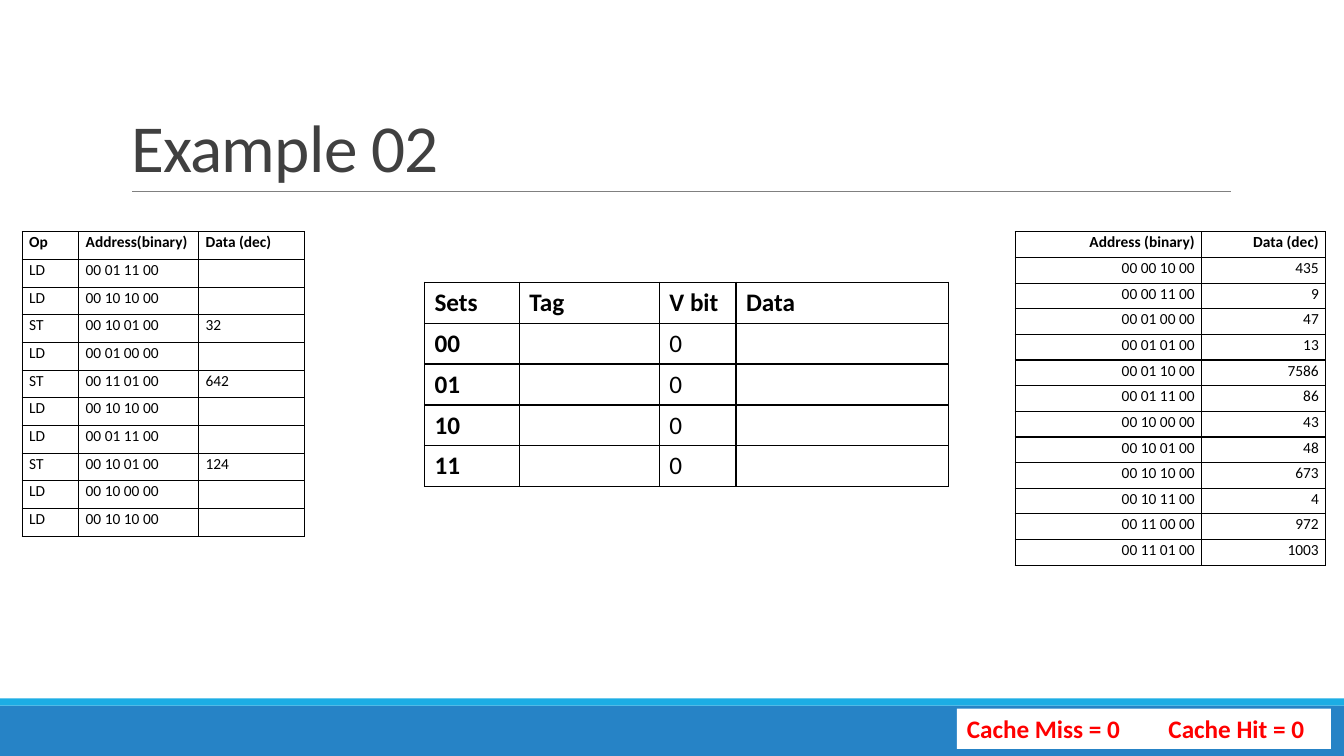
from dataclasses import dataclass

from lxml.etree import SubElement
from pptx import Presentation
from pptx.dml.color import RGBColor
from pptx.enum.shapes import MSO_CONNECTOR as Connector, MSO_SHAPE as Shape
from pptx.enum.text import MSO_ANCHOR as Anchor, MSO_AUTO_SIZE as AutoSize, PP_ALIGN as Align
from pptx.oxml.ns import qn
from pptx.util import Inches, Pt

FONT = "Calibri"
COLORS = {
    "band": "2683C6",
    "stripe": "1CADE4",
    "rule": "808080",
    "title": "404040",
    "text": "000000",
    "score": "FF0000",
    "paper": "FFFFFF",
}


@dataclass
class Box:
    left: float
    top: float
    width: float
    height: float
    color: str


@dataclass
class Grid:
    left: float
    top: float
    height: float
    columns: tuple[float, ...]
    rows: list[tuple[str, ...]]
    size: int = 11
    align: Align = Align.LEFT
    margins: tuple[float, float] = (0.07, 0)
    line_spacing: float = 1.07
    bold_first_column: bool = False


BANDS = [Box(0, 7, 13.33, 0.5, "band"), Box(0, 6.93, 13.33, 0.07, "stripe")]
SCORE = Box(9.49, 7.03, 3.71, 0.4, "paper")

OPERATIONS = Grid(0.22, 2.3, 3.02, (0.56, 1.19, 1.05), [
    ("Op", "Address(binary)", "Data (dec)"),
    ("LD", "00 01 11 00", ""),
    ("LD", "00 10 10 00", ""),
    ("ST", "00 10 01 00", "32"),
    ("LD", "00 01 00 00", ""),
    ("ST", "00 11 01 00", "642"),
    ("LD", "00 10 10 00", ""),
    ("LD", "00 01 11 00", ""),
    ("ST", "00 10 01 00", "124"),
    ("LD", "00 10 00 00", ""),
    ("LD", "00 10 10 00", ""),
])
MEMORY = Grid(10.07, 2.3, 3.31, (1.85, 1.23), [
    ("Address (binary)", "Data (dec)"),
    ("00 00 10 00", "435"),
    ("00 00 11 00", "9"),
    ("00 01 00 00", "47"),
    ("00 01 01 00", "13"),
    ("00 01 10 00", "7586"),
    ("00 01 11 00", "86"),
    ("00 10 00 00", "43"),
    ("00 10 01 00", "48"),
    ("00 10 10 00", "673"),
    ("00 10 11 00", "4"),
    ("00 11 00 00", "972"),
    ("00 11 01 00", "1003"),
], align=Align.RIGHT)
CACHE = Grid(
    4.21, 2.8, 2.03, (0.94, 1.39, 0.76, 2.11),
    [("Sets", "Tag", "V bit", "Data")]
    + [(index, "", "0", "") for index in ("00", "01", "10", "11")],
    size=18, margins=(0.1, 0.05), line_spacing=1, bold_first_column=True,
)


def rgb(name: str) -> RGBColor:
    return RGBColor.from_string(COLORS[name])


def add_run(paragraph, text: str, size: int, color: str, bold: bool = False):
    run = paragraph.add_run()
    run.text = text
    run.font.name = FONT
    run.font.size = Pt(size)
    run.font.bold = bold
    run.font.color.rgb = rgb(color)
    return run


def add_box(slide, box: Box):
    shape = slide.shapes.add_shape(
        Shape.RECTANGLE, *map(Inches, (box.left, box.top, box.width, box.height)))
    shape.shadow.inherit = False
    shape.fill.solid()
    shape.fill.fore_color.rgb = rgb(box.color)
    shape.line.fill.background()
    return shape


def add_rule(slide) -> None:
    rule = slide.shapes.add_connector(
        Connector.STRAIGHT, Inches(1.31), Inches(1.9), Inches(12.21), Inches(1.9))
    rule.line.color.rgb = rgb("rule")
    rule.line.width = Pt(0.5)
    SubElement(rule._element.spPr, qn("a:effectLst"))


def add_title(slide) -> None:
    title = slide.shapes.title
    title.left, title.top, title.width, title.height = map(Inches, (1.2, 0.31, 11, 1.59))
    frame = title.text_frame
    frame.auto_size = AutoSize.NONE
    frame.vertical_anchor = Anchor.BOTTOM
    paragraph = frame.paragraphs[0]
    paragraph.alignment = Align.LEFT
    paragraph.line_spacing = 0.85
    run = add_run(paragraph, "Example 02", 48, "title")
    run.font._element.set("spc", "-50")


def add_score(slide) -> None:
    frame = add_box(slide, SCORE).text_frame
    frame.word_wrap = True
    frame.vertical_anchor = Anchor.TOP
    paragraph = frame.paragraphs[0]
    paragraph.alignment = Align.LEFT
    add_run(paragraph, "Cache Miss = 0\tCache Hit = 0", 18, "score", True)


def add_borders(cell) -> None:
    properties = cell._tc.get_or_add_tcPr()
    for side in ("lnL", "lnR", "lnT", "lnB"):
        border = SubElement(properties, qn(f"a:{side}"), w=str(Pt(1)))
        fill = SubElement(border, qn("a:solidFill"))
        SubElement(fill, qn("a:srgbClr"), val=COLORS["text"])


def fill_cell(cell, grid: Grid, text: str, bold: bool) -> None:
    add_borders(cell)
    cell.fill.background()
    cell.margin_left = cell.margin_right = Inches(grid.margins[0])
    cell.margin_top = cell.margin_bottom = Inches(grid.margins[1])
    paragraph = cell.text_frame.paragraphs[0]
    paragraph.alignment = grid.align
    paragraph.line_spacing = grid.line_spacing
    if text:
        add_run(paragraph, text, grid.size, "text", bold)
    else:
        SubElement(paragraph._p, qn("a:endParaRPr"), sz=str(grid.size * 100))


def add_grid(slide, grid: Grid) -> None:
    table = slide.shapes.add_table(
        len(grid.rows), len(grid.columns), Inches(grid.left), Inches(grid.top),
        Inches(sum(grid.columns)), Inches(grid.height)).table
    table.first_row = table.horz_banding = False
    for column, width in zip(table.columns, grid.columns):
        column.width = Inches(width)
    for row_index, values in enumerate(grid.rows):
        table.rows[row_index].height = Inches(grid.height / len(grid.rows))
        for column_index, text in enumerate(values):
            bold = row_index == 0 or (grid.bold_first_column and column_index == 0)
            fill_cell(table.cell(row_index, column_index), grid, text, bold)


def main() -> None:
    presentation = Presentation()
    presentation.slide_width = Inches(13.33)
    presentation.slide_height = Inches(7.5)
    slide = presentation.slides.add_slide(presentation.slide_layouts.get_by_name("Title Only"))
    for band in BANDS:
        add_box(slide, band)
    add_rule(slide)
    add_title(slide)
    for grid in (OPERATIONS, MEMORY, CACHE):
        add_grid(slide, grid)
    add_score(slide)
    presentation.save("out.pptx")


if __name__ == "__main__":
    main()
